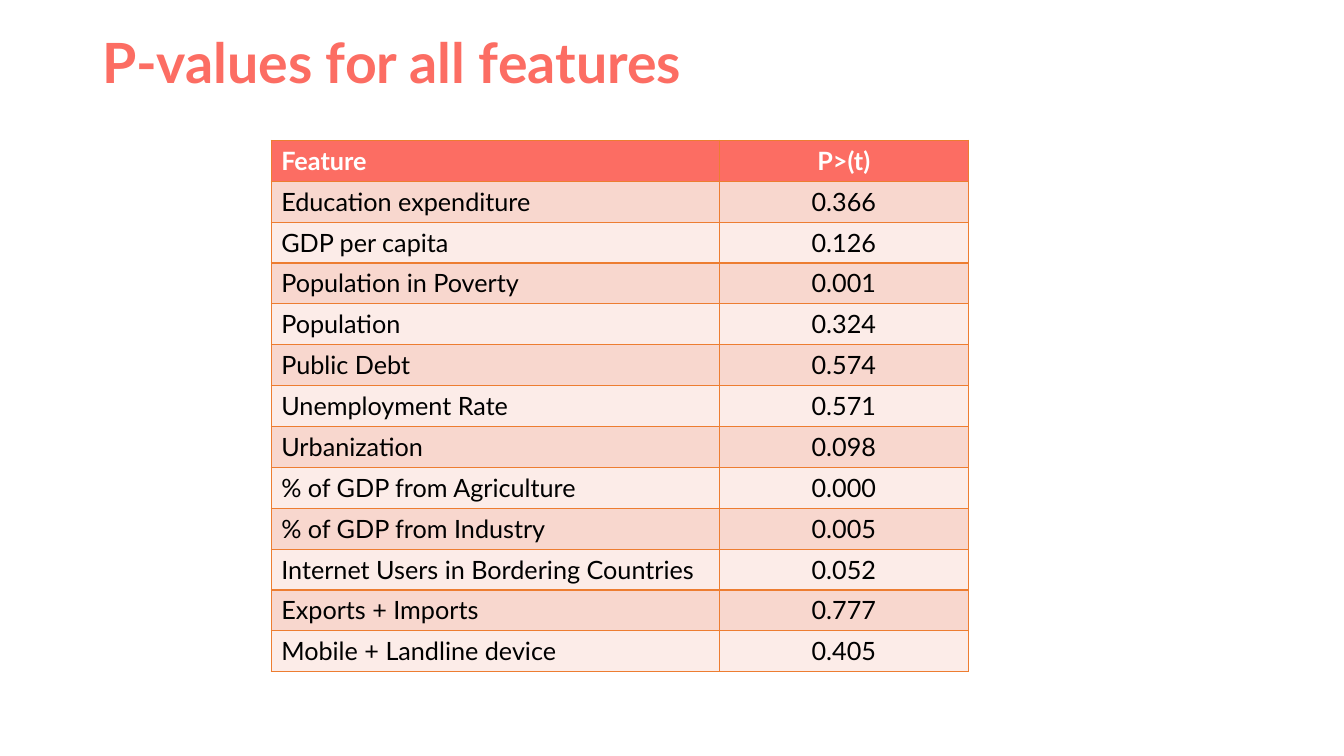
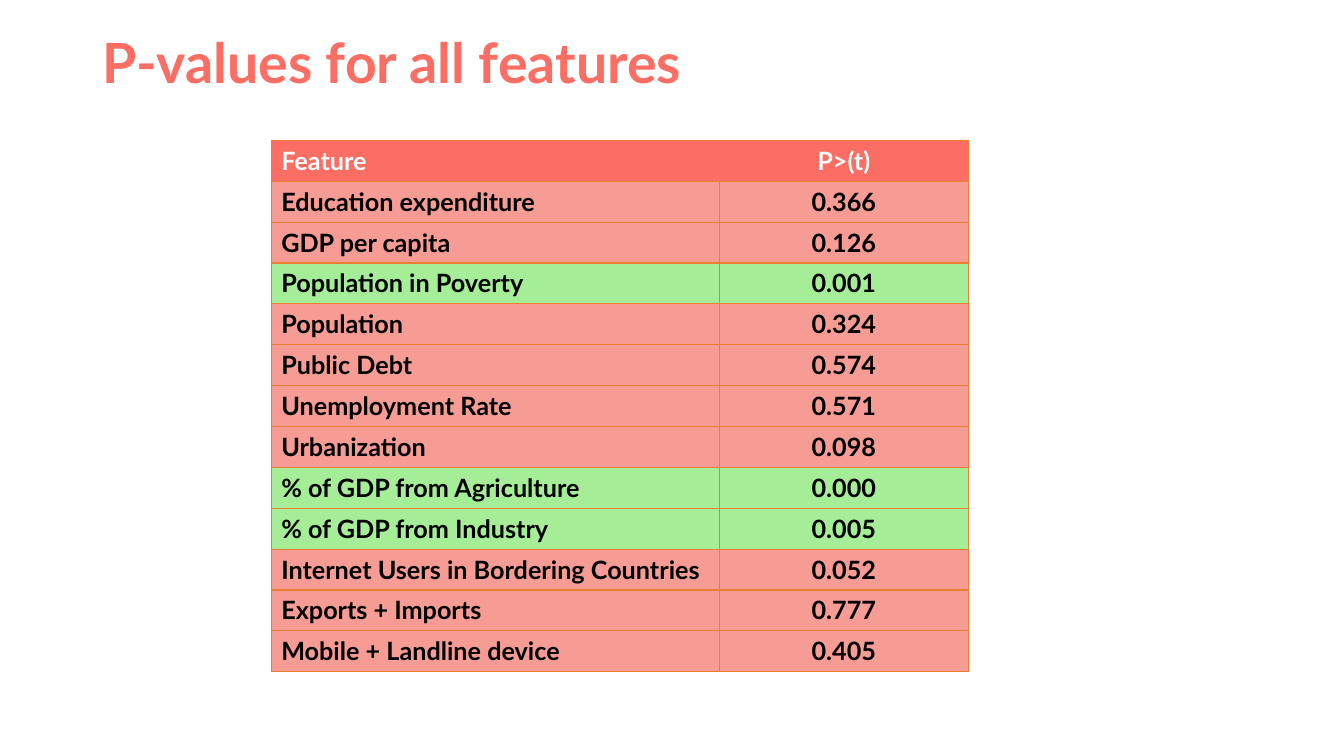
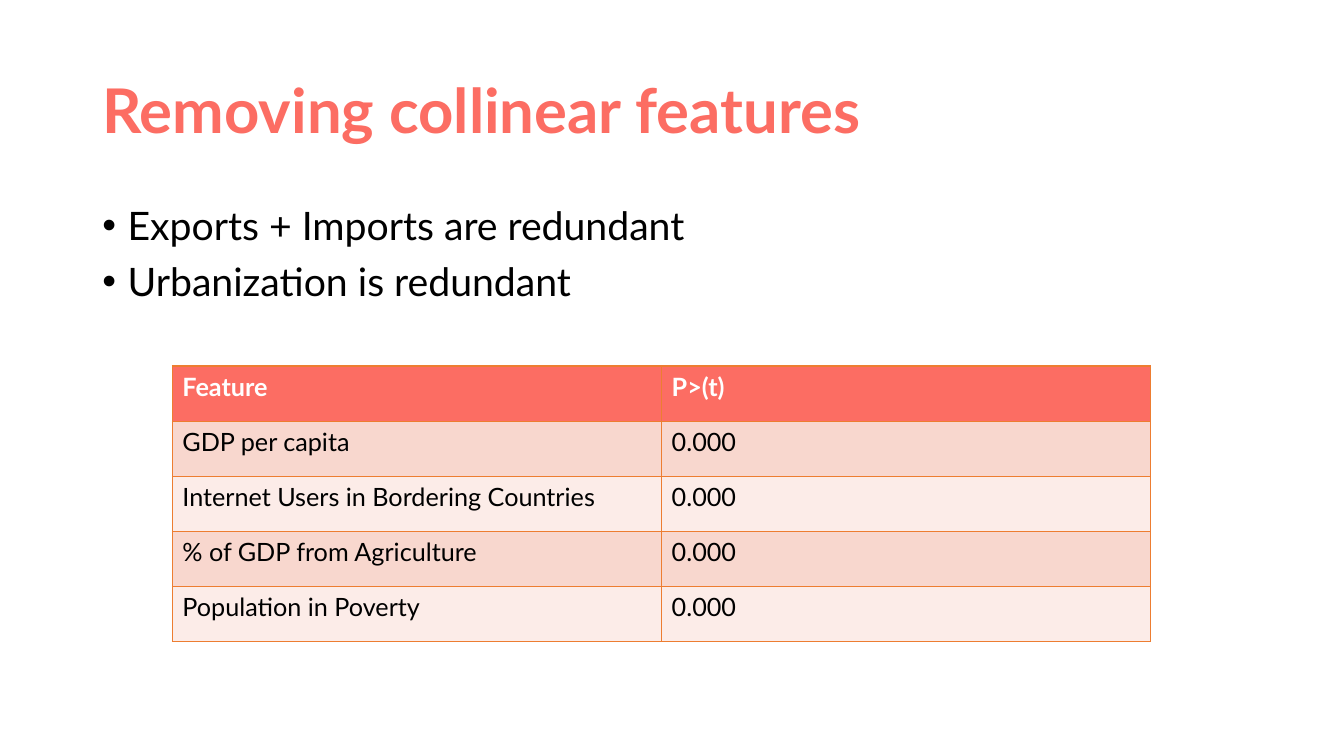
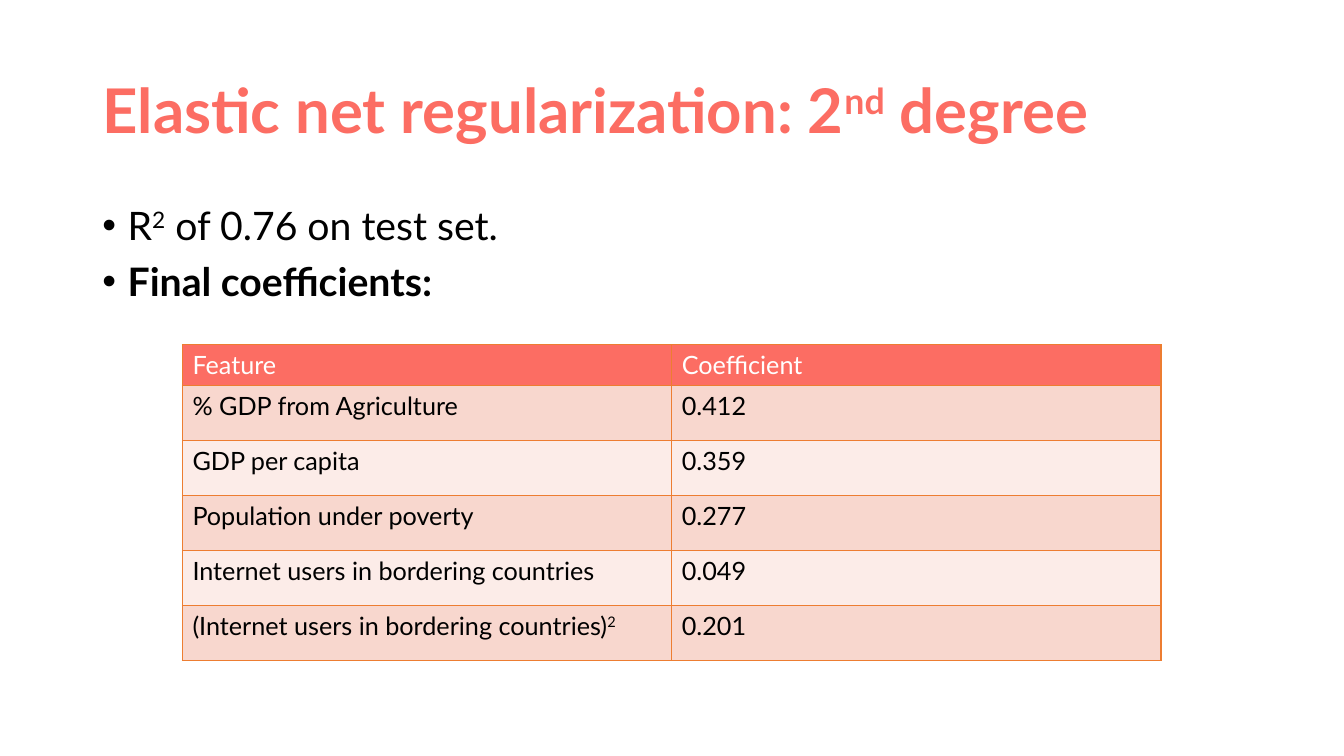
"""Build four slides on regression features, p-values and coefficients."""
from dataclasses import dataclass

from lxml import etree
from pptx import Presentation
from pptx import util as u
from pptx.dml.color import RGBColor
from pptx.enum import text as t
from pptx.oxml import ns


@dataclass(frozen=True)
class Theme:
    font: str = "Lato"
    accent: str = "FC6D63"
    border: str = "ED7D31"
    ink: str = "000000"
    paper: str = "FFFFFF"
    bands: tuple[str, str] = ("F8D7CE", "FCECE8")
    rejected: str = "F79C94"
    accepted: str = "A5ED96"
    title_size: float = 44
    small_title_size: float = 39.6
    body_size: float = 28
    table_size: float = 18


@dataclass(frozen=True)
class Grid:
    left: float
    top: float
    columns: tuple[float, float]
    row_height: float
    rows: tuple[tuple[str, str], ...]
    header_height: float | None = None
    bold_header: bool = True
    bold_rows: bool = False
    center_values: bool = False
    threshold: float | None = None


@dataclass(frozen=True)
class Page:
    title: str
    grid: Grid
    bullets: tuple[tuple[str, bool], ...] = ()


THEME = Theme()
MARGIN, WIDTH = 66, 828

P_VALUES = (
    ("Feature", "P>(t)"),
    ("Education expenditure", "0.366"),
    ("GDP per capita", "0.126"),
    ("Population in Poverty", "0.001"),
    ("Population", "0.324"),
    ("Public Debt", "0.574"),
    ("Unemployment Rate", "0.571"),
    ("Urbanization", "0.098"),
    ("% of GDP from Agriculture", "0.000"),
    ("% of GDP from Industry", "0.005"),
    ("Internet Users in Bordering Countries", "0.052"),
    ("Exports + Imports", "0.777"),
    ("Mobile + Landline device", "0.405"),
)
REDUCED = (
    ("Feature", "P>(t)"),
    ("GDP per capita", "0.000"),
    ("Internet Users in Bordering Countries", "0.000"),
    ("% of GDP from Agriculture", "0.000"),
    ("Population in Poverty", "0.000"),
)
COEFFICIENTS = (
    ("Feature", "Coefficient"),
    ("% GDP from Agriculture", "0.412"),
    ("GDP per capita", "0.359"),
    ("Population under poverty", "0.277"),
    ("Internet users in bordering countries", "0.049"),
    ("(Internet users in bordering countries)^2^", "0.201"),
)


def p_value_page(**options) -> Page:
    """Describe a page with the full table of p-values."""
    grid = Grid(193.75, 100.25, (320, 178), 29.2, P_VALUES, center_values=True, **options)
    return Page("P-values for all features", grid)


PAGES = (
    p_value_page(),
    p_value_page(bold_rows=True, threshold=0.05),
    Page(
        "Removing collinear features",
        Grid(123.1, 261.5, (349.5, 349.5), 39.4, REDUCED),
        (("Exports + Imports are redundant", False), ("Urbanization is redundant", False)),
    ),
    Page(
        "Elastic net regularization: 2^nd^ degree",
        Grid(130.3, 246.25, (349.5, 349.5), 39.4, COEFFICIENTS,
             header_height=28.8, bold_header=False),
        (("R^2^ of 0.76 on test set.", False), ("Final coefficients:", True)),
    ),
)


def write(p, text: str, *, size: float, color: str = THEME.ink, bold: bool = False,
          align=t.PP_ALIGN.LEFT, spacing: float | None = None, before: float = 0) -> None:
    """Fill a paragraph with formatted text, raising the parts between carets."""
    p.alignment = align
    p.space_before = u.Pt(before)
    if spacing:
        p.line_spacing = spacing
    for i, part in enumerate(text.split("^")):
        if not part:
            continue
        r = p.add_run()
        r.text = part
        r.font.name, r.font.size, r.font.bold = THEME.font, u.Pt(size), bold
        r.font.color.rgb = RGBColor.from_string(color)
        if i % 2:
            r.font._element.set("baseline", "30000")


def place(sp, top: float, height: float, anchor) -> None:
    """Move a placeholder to the shared margins and fix its text frame."""
    sp.left, sp.top, sp.width, sp.height = map(u.Pt, (MARGIN, top, WIDTH, height))
    tf = sp.text_frame
    tf.word_wrap, tf.auto_size, tf.vertical_anchor = True, t.MSO_AUTO_SIZE.NONE, anchor


def add_bullet(p, indent: float = 18) -> None:
    """Give a paragraph a round bullet and a hanging indent."""
    pPr = p._p.get_or_add_pPr()
    pPr.set("marL", str(u.Pt(indent)))
    pPr.set("indent", str(-u.Pt(indent)))
    etree.SubElement(pPr, ns.qn("a:buFont"), typeface="Arial")
    etree.SubElement(pPr, ns.qn("a:buChar"), char="•")


def add_borders(cell, width: float = 1) -> None:
    """Draw the four borders of a table cell."""
    tcPr = cell._tc.get_or_add_tcPr()
    for side in ("lnL", "lnR", "lnT", "lnB"):
        ln = etree.SubElement(tcPr, ns.qn(f"a:{side}"), w=str(u.Pt(width)))
        fill = etree.SubElement(ln, ns.qn("a:solidFill"))
        etree.SubElement(fill, ns.qn("a:srgbClr"), val=THEME.border)


def row_fill(grid: Grid, i: int) -> str:
    """Choose the fill of a row by header, significance or banding."""
    if i == 0:
        return THEME.accent
    if grid.threshold is None:
        return THEME.bands[(i - 1) % 2]
    return THEME.accepted if float(grid.rows[i][1]) < grid.threshold else THEME.rejected


def draw_grid(s, grid: Grid) -> None:
    """Draw a two-column table with a coloured header."""
    heights = [grid.row_height] * len(grid.rows)
    heights[0] = grid.header_height or grid.row_height
    box = map(u.Pt, (grid.left, grid.top, sum(grid.columns), sum(heights)))
    table = s.shapes.add_table(len(grid.rows), len(grid.columns), *box).table
    table.first_row = table.horz_banding = False
    for column, width in zip(table.columns, grid.columns):
        column.width = u.Pt(width)
    for i, (values, height) in enumerate(zip(grid.rows, heights)):
        table.rows[i].height = u.Pt(height)
        for j, value in enumerate(values):
            cell = table.cell(i, j)
            add_borders(cell)
            cell.fill.solid()
            cell.fill.fore_color.rgb = RGBColor.from_string(row_fill(grid, i))
            centered = grid.center_values and j == 1
            write(cell.text_frame.paragraphs[0], value, size=THEME.table_size,
                  color=THEME.ink if i else THEME.paper,
                  bold=grid.bold_rows if i else grid.bold_header,
                  align=t.PP_ALIGN.CENTER if centered else t.PP_ALIGN.LEFT)


def draw_page(prs, page: Page) -> None:
    """Add one slide with its title, optional bullets and table."""
    s = prs.slides.add_slide(prs.slide_layouts[1 if page.bullets else 5])
    title = s.shapes.title
    place(title, 28.75, 104.4 if page.bullets else 35.5, t.MSO_ANCHOR.MIDDLE)
    write(title.text_frame.paragraphs[0], page.title, color=THEME.accent, bold=True,
          size=THEME.title_size if page.bullets else THEME.small_title_size, spacing=0.9)
    if page.bullets:
        body = s.placeholders[1]
        place(body, 143.75, 342.6, t.MSO_ANCHOR.TOP)
        tf = body.text_frame
        for i, (text, bold) in enumerate(page.bullets):
            p = tf.add_paragraph() if i else tf.paragraphs[0]
            add_bullet(p)
            write(p, text, size=THEME.body_size, bold=bold, spacing=0.9,
                  before=10 if i else 0)
    draw_grid(s, page.grid)


def main() -> None:
    """Build and save the presentation."""
    prs = Presentation()
    prs.slide_width, prs.slide_height = u.Pt(960), u.Pt(540)
    for page in PAGES:
        draw_page(prs, page)
    prs.save("out.pptx")


if __name__ == "__main__":
    main()
